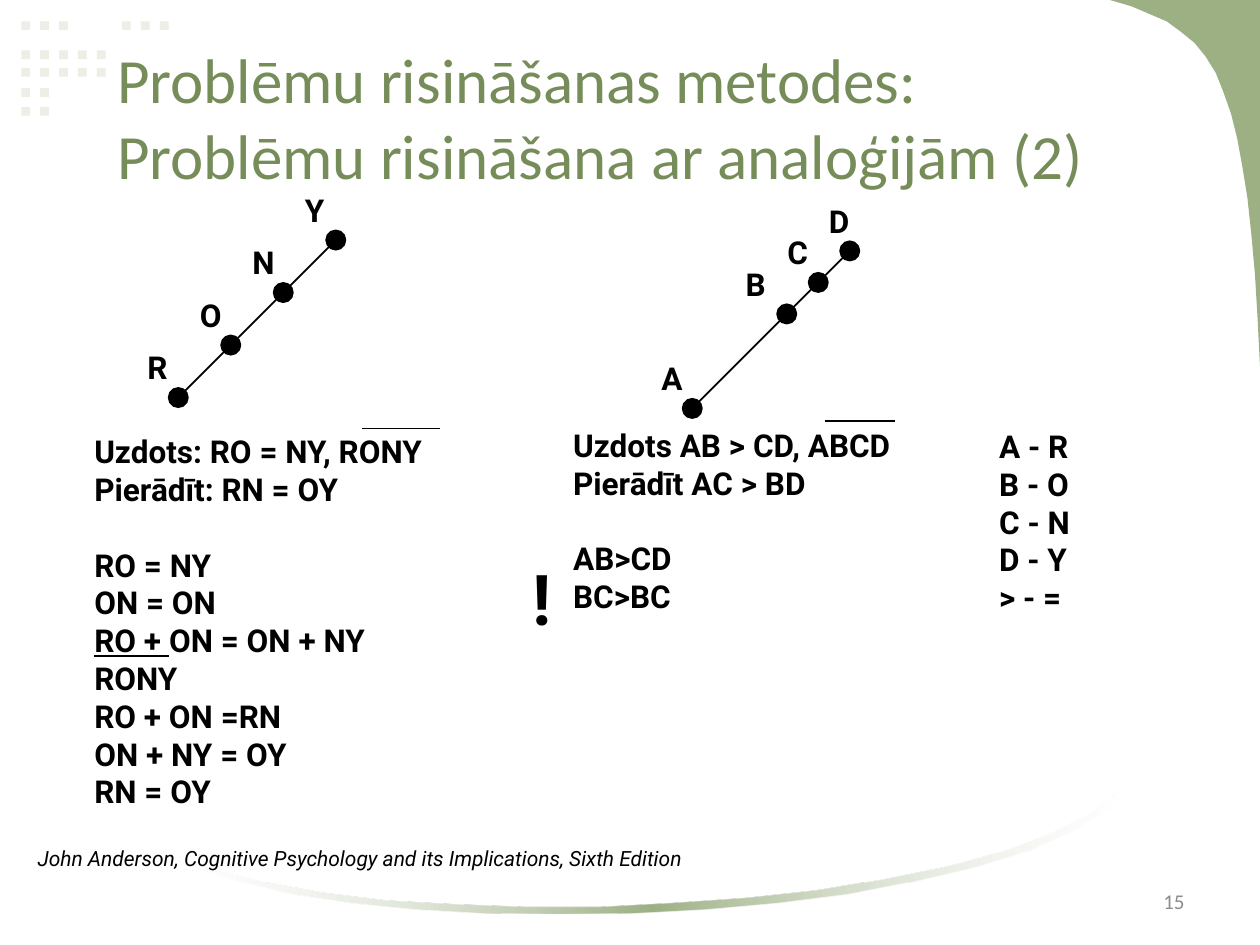
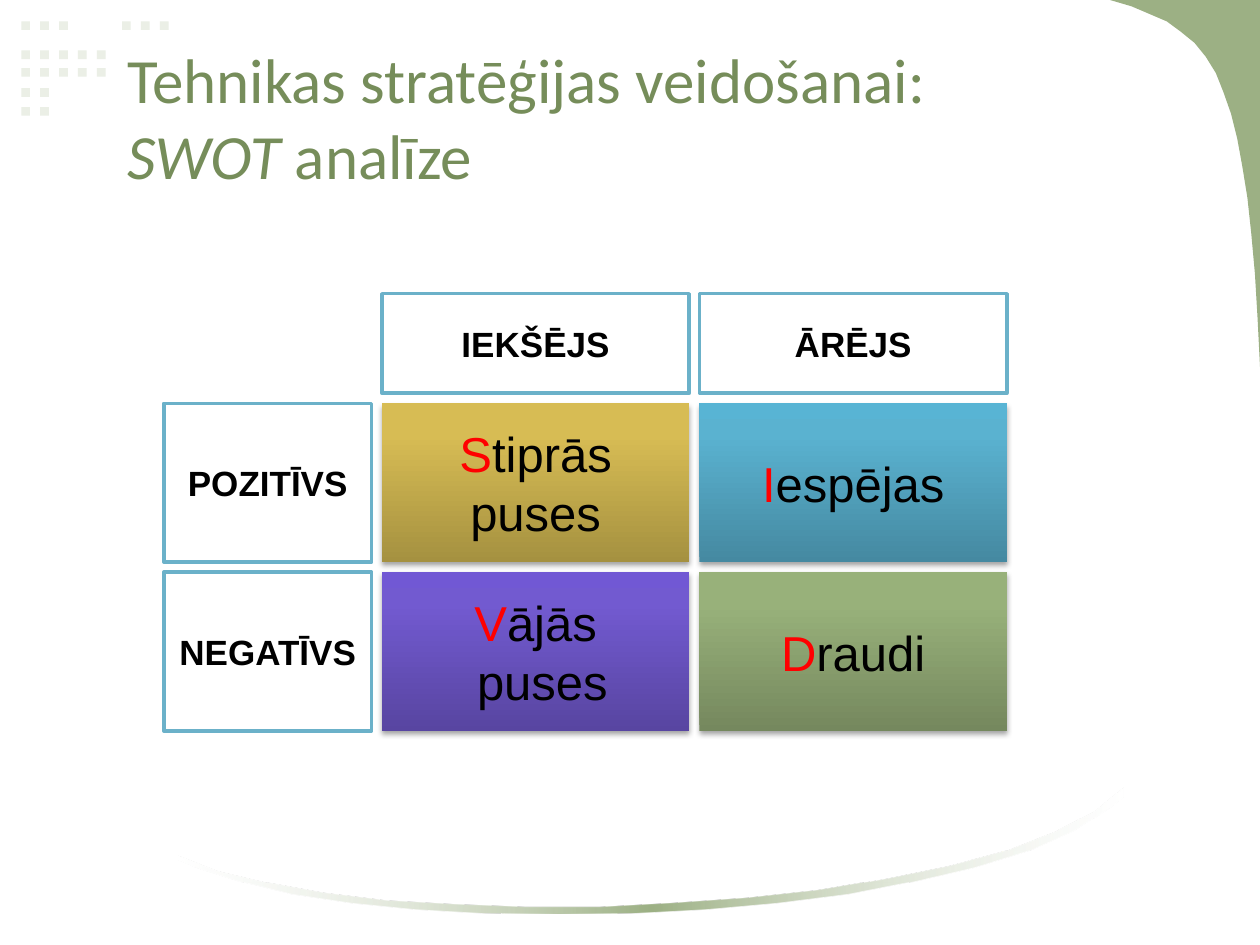
from lxml import etree
from pptx import Presentation
from pptx import util as u
from pptx.dml import color as dml
from pptx.enum import shapes, text
from pptx.oxml import ns

BLACK, WHITE, RED = "000000", "FFFFFF", "FF0000"
GREEN, TITLE_GREEN, DOT_GREEN = "9CB084", "768D5A", "EBEFE6"
FRAME_BLUE, NUMBER_GREY = "6BB1C9", "8C8C8C"

DOT_ROWS = {
    12.2: [0, 1, 2, 5.33, 6.33, 7.33],
    28.8: range(5),
    38.9: range(5),
    50.4: range(2),
    61.2: range(2),
}
CORNER = [
    (634.3, 0), (720, 0), (720, 209.5), (718.6, 181.4), (717.1, 156.2),
    (715, 133.2), (712.8, 113), (709.9, 95), (707, 79.2), (703.4, 64.8),
    (699.1, 52.6), (694.8, 41.8), (689, 32.4), (682.6, 24.5), (674.6, 18),
    (666.7, 12.2), (656.6, 7.9), (646.6, 3.6),
]
SWOOSH = [
    (642, 450), (642, 455), (634, 461.5), (613.4, 474.5), (587.5, 486),
    (556.6, 495.4), (522, 503.3), (484.6, 510.5), (444.2, 515.5),
    (403.2, 519.1), (360.7, 521.3), (319, 522), (277.2, 521.3),
    (237.6, 519.1), (200.9, 515.5), (167, 510.5), (137.5, 503.3),
    (112.3, 495.4), (102.2, 491), (102.2, 488.9), (124.6, 497.5),
    (152.6, 504), (185, 509.8), (221, 514.1), (259.9, 516.2),
    (300.2, 517.7), (342.7, 517.7), (384.5, 515.5), (427, 512.6),
    (467.3, 508.3), (506.2, 501.8), (542.2, 494.6), (574.6, 486),
    (602.6, 475.2), (625, 463.7),
]
SWOOSH_STOPS = [(0, WHITE, 30), (50, GREEN, 100), (100, WHITE, 30)]

GRID_LEFT, GRID_TOP, GRID_GAP = 93.6, 167.8, 5.8
COLUMN_WIDTHS = [118.8, 175.7, 175.7]
ROW_HEIGHTS = [56.9, 90.7, 90.7]
HEADINGS = {
    (0, 1): "IEKŠĒJS", (0, 2): "ĀRĒJS",
    (1, 0): "POZITĪVS", (2, 0): "NEGATĪVS",
}
QUADRANTS = {
    (1, 1): (["Stiprās puses"], ["A59140", "D7BC54", "DABF52"]),
    (1, 2): (["Iespējas"], ["4589A1", "5AB2D0", "58B4D4"]),
    (2, 1): (["Vājās", " puses"], ["5845A1", "725AD0", "7158D4"]),
    (2, 2): (["Draudi"], ["75885E", "98B17A", "99B379"]),
}


def rgb(value):
    """Turn a hex string into a colour."""
    return dml.RGBColor.from_string(value)


def add_child(parent, tag, **attributes):
    """Append a drawing element with the given attributes."""
    child = etree.SubElement(parent, ns.qn(tag))
    for name, value in attributes.items():
        child.set(name, str(value))
    return child


def add_color(parent, value, opacity):
    """Append a colour with an opacity in percent."""
    color = add_child(parent, "a:srgbClr", val=value)
    add_child(color, "a:alpha", val=opacity * 1000)


def style(shape, fill=None, line=None, line_width=1):
    """Set fill and outline, and remove the shadow."""
    shape.shadow.inherit = False
    if fill:
        shape.fill.solid()
        shape.fill.fore_color.rgb = rgb(fill)
    if line:
        shape.line.color.rgb = rgb(line)
        shape.line.width = u.Pt(line_width)
    else:
        shape.line.fill.background()


def set_gradient(shape, stops, angle):
    """Fill a shape with stops of position, colour and opacity."""
    shape.fill.gradient()
    shape.fill.gradient_angle = angle
    stop_list = shape._element.spPr.find(".//" + ns.qn("a:gsLst"))
    for stop in list(stop_list):
        stop_list.remove(stop)
    for position, value, opacity in stops:
        add_color(add_child(stop_list, "a:gs", pos=position * 1000), value, opacity)


def set_shadow(shape):
    """Give a shape a soft shadow below it."""
    effects = shape._element.spPr.find(ns.qn("a:effectLst"))
    shadow = add_child(effects, "a:outerShdw", blurRad=u.Pt(3.1), dist=u.Pt(1.8),
                       dir=90 * 60000, rotWithShape=0)
    add_color(shadow, BLACK, 35)


def add_shape(slide, kind, left, top, width, height, **look):
    """Add a styled preset shape."""
    shape = slide.shapes.add_shape(kind, *map(u.Pt, (left, top, width, height)))
    style(shape, **look)
    return shape


def add_outline(slide, points, fill=None):
    """Add a closed freeform through the points."""
    start, *rest = [(u.Pt(x), u.Pt(y)) for x, y in points]
    builder = slide.shapes.build_freeform(*start)
    builder.add_line_segments(rest, close=True)
    shape = builder.convert_to_shape()
    style(shape, fill)
    return shape


def add_line(slide, start, end):
    """Add a thin black line."""
    line = slide.shapes.add_connector(
        shapes.MSO_CONNECTOR.STRAIGHT, *map(u.Pt, (*start, *end)))
    line.line.color.rgb = rgb(BLACK)
    line.line.width = u.Pt(1)
    add_child(line._element.spPr, "a:effectLst")


def write_text(frame, paragraphs, size=18, font="Roboto", color=BLACK, bold=False,
               italic=False, align=text.PP_ALIGN.LEFT, anchor=text.MSO_ANCHOR.TOP,
               gap_before=None):
    """Write paragraphs, each a string or a list of (text, overrides) runs."""
    frame.word_wrap = True
    frame.vertical_anchor = anchor
    for index, content in enumerate(paragraphs):
        paragraph = frame.add_paragraph() if index else frame.paragraphs[0]
        paragraph.alignment = align
        if index == gap_before:
            paragraph.space_before = u.Pt(21.6)
        runs = [(content, {})] if isinstance(content, str) else content
        for words, overrides in runs:
            run = paragraph.add_run()
            run.text = words
            run.font.size = u.Pt(size)
            run.font.name = font
            run.font.bold = bold
            run.font.italic = overrides.get("italic", italic)
            run.font.underline = overrides.get("underline", False)
            run.font.color.rgb = rgb(overrides.get("color", color))


def add_text(slide, paragraphs, left, top, width, height, **text_format):
    """Add a text box."""
    box = slide.shapes.add_textbox(*map(u.Pt, (left, top, width, height)))
    write_text(box.text_frame, paragraphs, **text_format)


def add_base_slide(presentation, title, title_left):
    """Add a slide with the shared decoration and a title."""
    slide = presentation.slides.add_slide(presentation.slide_layouts[6])
    for top, columns in DOT_ROWS.items():
        for column in columns:
            add_shape(slide, shapes.MSO_SHAPE.RECTANGLE, 12.2 + 10.8 * column, top,
                      5, 5, fill=DOT_GREEN)
    add_outline(slide, CORNER, GREEN)
    set_gradient(add_outline(slide, SWOOSH), SWOOSH_STOPS, 0)
    add_text(slide, title, title_left, 21.6, 684 - title_left, 90, size=36,
             font="Calibri", color=TITLE_GREEN, anchor=text.MSO_ANCHOR.MIDDLE)
    return slide


def add_segment(slide, right, top, points):
    """Draw a diagonal with points of letter, distance and label offset."""
    length = max(distance for _, distance, _ in points)
    add_line(slide, (right, top), (right - length, top + length))
    for letter, distance, offset in points:
        x, y = right - distance, top + distance
        add_shape(slide, shapes.MSO_SHAPE.OVAL, x - 5.5, y - 5.5, 11, 11,
                  fill=BLACK, line=BLACK)
        add_text(slide, [letter], x - offset, y - 31.6, 30, 28.8, bold=True)


def build_analogy_slide(presentation):
    """Build the slide on solving problems by analogy."""
    slide = add_base_slide(presentation, [
        "Problēmu risināšanas metodes:",
        "Problēmu risināšana ar analoģijām (2)"], 59.8)
    add_segment(slide, 191.9, 137.2, [
        ("Y", 0, 24.8), ("N", 30, 24.8), ("O", 60, 24.8), ("R", 90, 24.8)])
    add_segment(slide, 485.6, 143.4, [
        ("D", 0, 19), ("C", 18, 24.8), ("B", 36, 30.6), ("A", 90, 24.8)])
    add_text(slide, [
        "Uzdots: RO = NY, RONY", "Pierādīt: RN = OY", "RO = NY", "ON = ON",
        [("RO + ", {"underline": True}), ("ON = ON + NY", {})],
        "RONY", "RO + ON =RN", "ON + NY = OY", "RN = OY",
    ], 46.8, 243.4, 219.6, 225, bold=True, gap_before=2)
    add_line(slide, (206.9, 244.9), (251.4, 244.9))
    add_text(slide, ["Uzdots AB > CD, ABCD", "Pierādīt AC > BD", "AB>CD", "BC>BC"],
             320.4, 239.8, 214.6, 116, bold=True, gap_before=2)
    add_line(slide, (471.4, 240.6), (511.4, 240.6))
    add_text(slide, ["!"], 297.4, 313.9, 28, 55.4, size=40, bold=True)
    add_text(slide, ["A - R", "B - O", "C - N", "D - Y", "> - ="],
             563.8, 240.5, 70, 115.2, bold=True)
    add_text(slide,
             ["John Anderson, Cognitive Psychology and its Implications, Sixth Edition"],
             14.4, 479.5, 420, 21.6, size=12, italic=True)
    add_text(slide, ["15"], 516.2, 500.4, 167.8, 28.8, size=12, font="Calibri",
             color=NUMBER_GREY, align=text.PP_ALIGN.RIGHT,
             anchor=text.MSO_ANCHOR.MIDDLE)


def add_cell(slide, position, paragraphs, size, bold=False, **look):
    """Add one labelled rectangle of the grid."""
    row, column = position
    left = GRID_LEFT + sum(COLUMN_WIDTHS[:column]) + column * GRID_GAP
    top = GRID_TOP + sum(ROW_HEIGHTS[:row]) + row * GRID_GAP
    cell = add_shape(slide, shapes.MSO_SHAPE.RECTANGLE, left, top,
                     COLUMN_WIDTHS[column], ROW_HEIGHTS[row], **look)
    write_text(cell.text_frame, paragraphs, size=size, font="Arial", bold=bold,
               align=text.PP_ALIGN.CENTER, anchor=text.MSO_ANCHOR.MIDDLE)
    return cell


def build_swot_slide(presentation):
    """Build the slide with the two by two analysis grid."""
    slide = add_base_slide(presentation, [
        "Tehnikas stratēģijas veidošanai:",
        [("SWOT", {"italic": True}), (" analīze", {})]], 65.5)
    for position, (lines, colors) in QUADRANTS.items():
        first, *others = lines
        initial = [(first[0], {"color": RED}), (first[1:], {})]
        cell = add_cell(slide, position, [initial, *others], 28)
        set_gradient(cell, zip((0, 80, 100), colors, (100, 100, 100)), 90)
        set_shadow(cell)
    for position, heading in HEADINGS.items():
        add_cell(slide, position, [heading], 20, bold=True, fill=WHITE,
                 line=FRAME_BLUE, line_width=2)


def main():
    """Build and save the presentation."""
    presentation = Presentation()
    presentation.slide_width, presentation.slide_height = u.Pt(720), u.Pt(540)
    build_analogy_slide(presentation)
    build_swot_slide(presentation)
    presentation.save("out.pptx")


if __name__ == "__main__":
    main()
